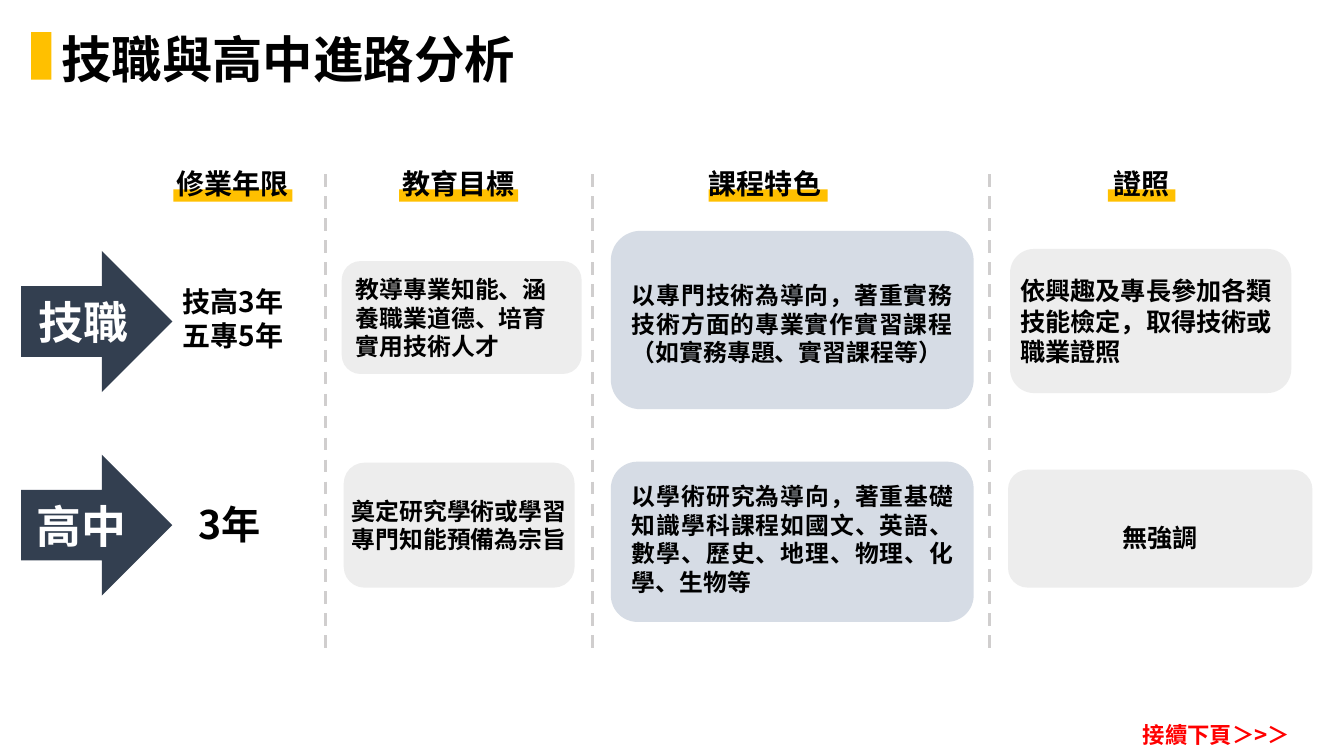
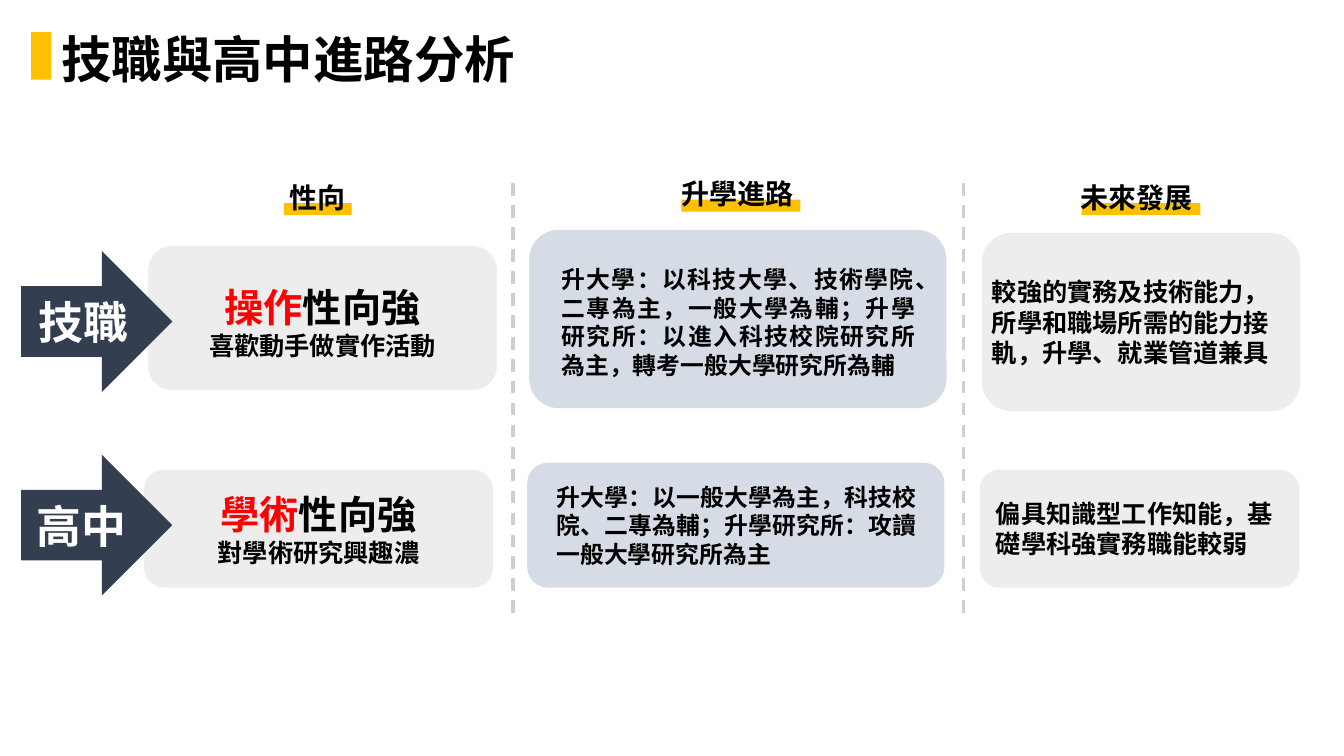
from lxml import etree
from pptx import Presentation
from pptx import util as u
from pptx.dml.color import RGBColor
from pptx.enum import dml, shapes, text
from pptx.oxml.ns import qn

FONT = "Noto Sans CJK SC"
YELLOW = RGBColor(0xFF, 0xC0, 0x00)
NAVY = RGBColor(0x33, 0x3F, 0x50)
BLUE = RGBColor(0xD6, 0xDC, 0xE5)
GREY = RGBColor(0xED, 0xED, 0xED)
RULE = RGBColor(0xD0, 0xCE, 0xCE)
RED = RGBColor(0xFF, 0x00, 0x00)
BLACK = RGBColor(0x00, 0x00, 0x00)
WHITE = RGBColor(0xFF, 0xFF, 0xFF)

LEFT, CENTER, JUSTIFY = (text.PP_ALIGN.LEFT, text.PP_ALIGN.CENTER,
                         text.PP_ALIGN.JUSTIFY)
SHAPE = shapes.MSO_SHAPE
CORNER = 0.1667 * 0.2929  # inset of a rounded card's text area, per height


def cells(n):
    """Length of n grid cells; ten cells make an inch."""
    return u.Inches(n / 10)


class Deck:
    def __init__(self):
        self.prs = Presentation()
        self.prs.slide_width, self.prs.slide_height = cells(133.33), cells(75)
        self.s = None

    def slide(self, title):
        self.s = self.prs.slides.add_slide(self.prs.slide_layouts[6])
        self.box(SHAPE.RECTANGLE, (3.1, 3.2, 2, 4.7), YELLOW)
        tf = self.label((5.1, 2.4, 68.2, 7.5), title, 36)
        tf.paragraphs[0].line_spacing = 0.9

    def box(self, kind, at, fill):
        sp = self.s.shapes.add_shape(kind, *map(cells, at))
        sp.shadow.inherit = False
        sp.fill.solid()
        sp.fill.fore_color.rgb = fill
        sp.line.fill.background()
        return sp

    def fill_text(self, tf, paragraphs, align, margins=(1, 0.5, 1, 0.5),
                  wrap=True):
        """Each paragraph is a list of (words, size, colour) runs."""
        left, top, right, bottom = map(cells, margins)
        for name, value in dict(
                margin_left=left, margin_top=top, margin_right=right,
                margin_bottom=bottom, word_wrap=wrap,
                vertical_anchor=text.MSO_ANCHOR.MIDDLE).items():
            setattr(tf, name, value)
        for i, runs in enumerate(paragraphs):
            p = tf.add_paragraph() if i else tf.paragraphs[0]
            p.alignment = align
            for words, size, colour in runs:
                r = p.add_run()
                r.text = words
                for name, value in dict(name=FONT, size=u.Pt(size),
                                        bold=True).items():
                    setattr(r.font, name, value)
                r.font.color.rgb = colour
                ea = etree.SubElement(r.font._element, qn("a:ea"))
                ea.set("typeface", FONT)

    def label(self, at, words, size, align=LEFT, colour=BLACK):
        tf = self.s.shapes.add_textbox(*map(cells, at)).text_frame
        lines = [[(line, size, colour)] for line in words.split("\n")]
        self.fill_text(tf, lines, align, wrap=align != CENTER)
        return tf

    def header(self, words, cx, y, nudge=0):
        """Column heading over a yellow underline centred on cx."""
        w = 1.6 + 2.55 * len(words)
        self.box(SHAPE.RECTANGLE, (cx - w / 2, y + 2.8, w, 1.2), YELLOW)
        self.label((cx + nudge - 6.8, y, 13.6, 4.4), words, 20, CENTER)

    def card(self, at, fill, paragraphs, align=LEFT, pads=(1, 1), drop=0):
        """Rounded card; pads are side gaps, drop lowers its text."""
        sp = self.box(SHAPE.ROUNDED_RECTANGLE, at, fill)
        inset = CORNER * at[3]
        left, right = (max(0, pad - inset) for pad in pads)
        margins = left, max(0, 2 * drop), right, max(0, -2 * drop)
        self.fill_text(sp.text_frame, paragraphs, align, margins)

    def divider(self, x, top, bottom):
        c = self.s.shapes.add_connector(
            shapes.MSO_CONNECTOR.STRAIGHT, *map(cells, (x, top, x, bottom)))
        c.line.color.rgb = RULE
        c.line.width = u.Pt(2.25)
        c.line.dash_style = dml.MSO_LINE.DASH
        etree.SubElement(c._element.spPr, qn("a:effectLst"))

    def row_arrows(self):
        for words, y, left in (("技職", 24.9, 0.8), ("高中", 45.1, 0.4)):
            sp = self.box(SHAPE.RIGHT_ARROW, (2.1, y, 15, 14), NAVY)
            self.fill_text(sp.text_frame, [[(words, 32, WHITE)]], CENTER,
                           (left, 0, 0, 0))


def plain(words, size):
    return [[(words, size, BLACK)]]


def aptitude(key, detail):
    return [[(key, 28, RED), ("性向強", 28, BLACK)], [(detail, 18, BLACK)]]


TITLE = "技職與高中進路分析"


def first_slide(d):
    d.slide(TITLE)
    # Column headings and dividers
    for words, cx, nudge in (("修業年限", 23.1, 0), ("教育目標", 45.5, 0),
                             ("課程特色", 76.2, -0.3), ("證照", 113.25, 0)):
        d.header(words, cx, 16, nudge)
    for x in (32.3, 58.8, 98.2):
        d.divider(x, 17.3, 64.4)
    # Years of study
    d.label((16.3, 27.7, 13.6, 7.7), "技高3年\n五專5年", 20, CENTER)
    d.label((17.5, 49.1, 10.5, 5.7), "3年", 28, CENTER)
    # Educational goals
    d.card((33.9, 25.9, 23.8, 11.2), GREY,
           plain("教導專業知能、涵養職業道德、培育實用技術人才", 17),
           pads=(1.4, 1.5))
    d.card((34.1, 45.9, 22.9, 12.4), GREY,
           plain("奠定研究學術或學習專門知能預備為宗旨", 17), pads=(0.8, 0.7))
    # Course features
    d.card((60.6, 22.9, 36, 17.7), BLUE,
           plain("以專門技術為導向，著重實務技術方面的專業實作實習課程"
                 "（如實務專題、實習課程等）", 17), JUSTIFY, (2.1, 2.1), 0.35)
    d.card((60.6, 45.8, 36, 15.9), BLUE,
           plain("以學術研究為導向，著重基礎知識學科課程如國文、英語、"
                 "數學、歷史、地理、物理、化學、生物等", 17),
           JUSTIFY, (2.1, 2), -0.3)
    # Certificates
    d.card((100.2, 24.7, 27.9, 14.3), GREY,
           plain("依興趣及專長參加各類技能檢定，取得技術或職業證照", 18))
    d.card((100, 46.6, 30.2, 11.7), GREY, plain("無強調", 18), CENTER,
           drop=0.85)
    d.row_arrows()
    d.label((112.4, 71, 18.1, 3.7), "接續下頁＞>＞", 16, colour=RED)


def second_slide(d):
    d.slide(TITLE)
    # Column headings and dividers
    for words, cx, y, nudge in (("性向", 31.55, 17.35, 0),
                                ("升學進路", 73.5, 17, -0.3),
                                ("未來發展", 113.2, 17.35, -0.4)):
        d.header(words, cx, y, nudge)
    for x in (50.9, 95.6):
        d.divider(x, 18.2, 61.5)
    # Aptitude
    d.card((14.7, 24.4, 34.6, 14.3), GREY,
           aptitude("操作", "喜歡動手做實作活動"), CENTER, drop=0.35)
    d.card((14.3, 46.6, 34.6, 11.7), GREY,
           aptitude("學術", "對學術研究興趣濃"), CENTER)
    # Further study
    d.card((52.5, 22.8, 41.4, 17.7), BLUE,
           plain("升大學：以科技大學、技術學院、二專為主，一般大學為輔；"
                 "升學研究所：以進入科技校院研究所為主，轉考一般大學研究所為輔",
                 17), JUSTIFY, (3.2, 3.1), 0.3)
    d.card((52.3, 45.9, 41.4, 12.4), BLUE,
           plain("升大學：以一般大學為主，科技校院、二專為輔；"
                 "升學研究所：攻讀一般大學研究所為主", 17), JUSTIFY, (2.9, 2.8))
    # Future development
    d.card((97.4, 23.1, 31.6, 17.7), GREY,
           plain("較強的實務及技術能力，所學和職場所需的能力接軌，"
                 "升學、就業管道兼具", 18))
    d.card((97.2, 46.6, 31.7, 11.7), GREY,
           plain("偏具知識型工作知能，基礎學科強實務職能較弱", 18),
           pads=(1.6, 1.6))
    d.row_arrows()


def main():
    d = Deck()
    first_slide(d)
    second_slide(d)
    d.prs.save("out.pptx")


if __name__ == "__main__":
    main()
